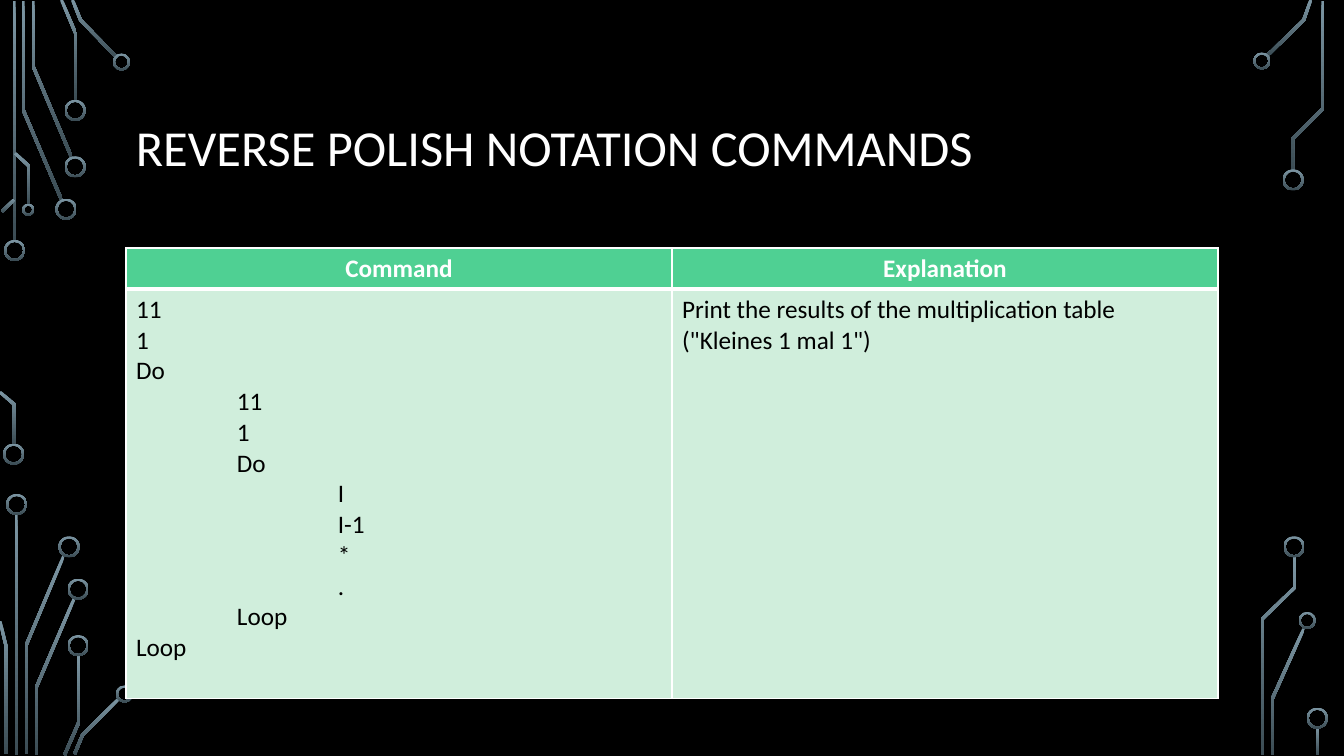
import math
import pptx
import pptx.util
import pptx.dml.color
import pptx.enum.shapes
import pptx.enum.text
import pptx.oxml.ns
from lxml import etree
from pptx.util import Inches

RGB = pptx.dml.color.RGBColor
BLACK = RGB(0x00, 0x00, 0x00)
WHITE = RGB(0xFF, 0xFF, 0xFF)
LIGHT = RGB(0x7C, 0x96, 0xA3)
DARK = RGB(0x3B, 0x4C, 0x54)
GREEN = RGB(0x4F, 0xD0, 0x93)
MINT = RGB(0xD0, 0xEE, 0xDC)
ALIGN = pptx.enum.text.PP_ALIGN
WIDTH = 0.03   # of a wire
BAND = 0.02    # of a ring

# Centre lines of the circuit wires
WIRES = [
    [(0.14, 0.01), (0.14, 2.4)],
    [(0.61, 1.98), (0.23, 1.09), (0.23, 0.01)],
    [(0.71, 1.56), (0.33, 0.66), (0.33, 0.01)],
    [(0.61, 0), (0.75, 0.33), (0.75, 1)],
    [(0.72, 0), (0.8, 0.2), (1.16, 0.57)],
    [(0.14, 1.98), (0.02, 2.1)],
    [(0, 3.89), (0.14, 4.01), (0.14, 4.41)],
    [(0.15, 1.52), (0.29, 1.65), (0.29, 2.03)],
    [(0.16, 5.1), (0.16, 7.49)],
    [(0.63, 5.52), (0.26, 6.4), (0.26, 7.48)],
    [(0, 6.16), (0.06, 6.41), (0.06, 7.48)],
    [(0.74, 5.93), (0.36, 6.82), (0.36, 7.49)],
    [(0.78, 6.5), (0.78, 7.17), (0.64, 7.49)],
    [(1.18, 6.93), (0.82, 7.29), (0.74, 7.48)],
    [(13, 0), (12.93, 0.2), (12.57, 0.55)],
    [(12.82, 1.69), (12.82, 1.38), (13.12, 1.08), (13.12, 0.01)],
    [(12.93, 6.24), (12.62, 6.93), (12.62, 7.49)],
    [(12.84, 5.52), (12.84, 5.83), (12.52, 6.14), (12.52, 7.49)],
    [(13.07, 7.21), (13.07, 7.49)],
]

# Left and top of the rings, by diameter
RINGS = {
    0.21: [(0.04, 2.38), (0.03, 4.4), (0.55, 1.97), (0.64, 1.55),
           (0.64, 0.99), (0.06, 4.9), (0.58, 5.32), (0.67, 5.74),
           (0.67, 6.3), (12.72, 1.68), (12.73, 5.32), (12.96, 7.02)],
    0.17: [(1.12, 0.53), (1.15, 6.8), (12.43, 0.52), (12.88, 6.07)],
    0.12: [(0.22, 2.02)],
}

CODE = ["11", "1", "Do", "\t11", "\t1", "\tDo", "\t\tI", "\t\tI-1",
        "\t\t*", "\t\t.", "\tLoop", "Loop"]
NOTE = 'Print the results of the multiplication table ("Kleines 1 mal 1")'


def shade(shape):
    """Fill with the wire gradient, light at the top."""
    shape.shadow.inherit = False
    shape.line.fill.background()
    shape.fill.gradient()
    shape.fill.gradient_angle = 270
    for stop, tone in zip(shape.fill.gradient_stops, (LIGHT, DARK)):
        stop.color.rgb = tone


def write(frame, lines, size=18, color=BLACK, bold=False, align=ALIGN.LEFT,
          space=1.0):
    """Put one paragraph per line, with tab stops at whole inches."""
    for i, line in enumerate(lines):
        para = frame.add_paragraph() if i else frame.paragraphs[0]
        para.alignment = align
        para.line_spacing = space
        if "\t" in line:
            tabs = etree.SubElement(para._p.get_or_add_pPr(),
                                    pptx.oxml.ns.qn("a:tabLst"))
            for inch in (1, 2):
                etree.SubElement(tabs, pptx.oxml.ns.qn("a:tab"),
                                 pos=str(Inches(inch)), algn="l")
        run = para.add_run()
        run.text = line
        run.font.name = "Calibri"
        run.font.size = pptx.util.Pt(size)
        run.font.bold = bold
        run.font.color.rgb = color


deck = pptx.Presentation()
deck.slide_width, deck.slide_height = Inches(13.33), Inches(7.5)
slide = deck.slides.add_slide(deck.slide_layouts[6])
slide.background.fill.solid()
slide.background.fill.fore_color.rgb = BLACK
shapes = slide.shapes

# Each wire is its centre line widened to both sides, with mitred bends
for wire in WIRES:
    norms = []
    for (x1, y1), (x2, y2) in zip(wire, wire[1:]):
        span = math.hypot(x2 - x1, y2 - y1)
        norms.append(((y1 - y2) / span, (x2 - x1) / span))
    left, right = [], []
    for (x, y), a, b in zip(wire, norms[:1] + norms, norms + norms[-1:]):
        reach = WIDTH / 2 / (1 + a[0] * b[0] + a[1] * b[1])
        dx, dy = (a[0] + b[0]) * reach, (a[1] + b[1]) * reach
        left.append((Inches(x + dx), Inches(y + dy)))
        right.append((Inches(x - dx), Inches(y - dy)))
    edge = left + right[::-1]
    form = shapes.build_freeform(*edge[0])
    form.add_line_segments(edge[1:], close=True)
    shade(form.convert_to_shape())

for size, spots in RINGS.items():
    for x, y in spots:
        ring = shapes.add_shape(pptx.enum.shapes.MSO_SHAPE.DONUT, Inches(x),
                                Inches(y), Inches(size), Inches(size))
        ring.adjustments[0] = BAND / size
        shade(ring)

title = shapes.add_textbox(Inches(1.25), Inches(0.68),
                           Inches(10.83), Inches(1.62)).text_frame
title.word_wrap = True
title.vertical_anchor = pptx.enum.text.MSO_ANCHOR.MIDDLE
write(title, ["REVERSE POLISH NOTATION COMMANDS"], size=36, color=WHITE,
      space=0.9)

table = shapes.add_table(2, 2, Inches(1.25), Inches(2.46),
                         Inches(10.83), Inches(4.47)).table
table.rows[0].height = Inches(0.41)
table.rows[1].height = Inches(4.06)
texts = [[["Command"], ["Explanation"]], [CODE, [NOTE]]]
looks = [dict(color=WHITE, bold=True, align=ALIGN.CENTER), {}]
rules = [dict(L=1, R=1, T=1, B=3), dict(L=1, R=1, T=3, B=1)]
for r, row in enumerate(texts):
    for c, lines in enumerate(row):
        cell = table.cell(r, c)
        write(cell.text_frame, lines, **looks[r])
        props = cell._tc.get_or_add_tcPr()
        for side, points in rules[r].items():
            rule = etree.SubElement(props, pptx.oxml.ns.qn("a:ln" + side),
                                    w=str(pptx.util.Pt(points)))
            fill = etree.SubElement(rule, pptx.oxml.ns.qn("a:solidFill"))
            etree.SubElement(fill, pptx.oxml.ns.qn("a:srgbClr"),
                             val=str(WHITE))
        cell.fill.solid()
        cell.fill.fore_color.rgb = (GREEN, MINT)[r]

deck.save("out.pptx")
